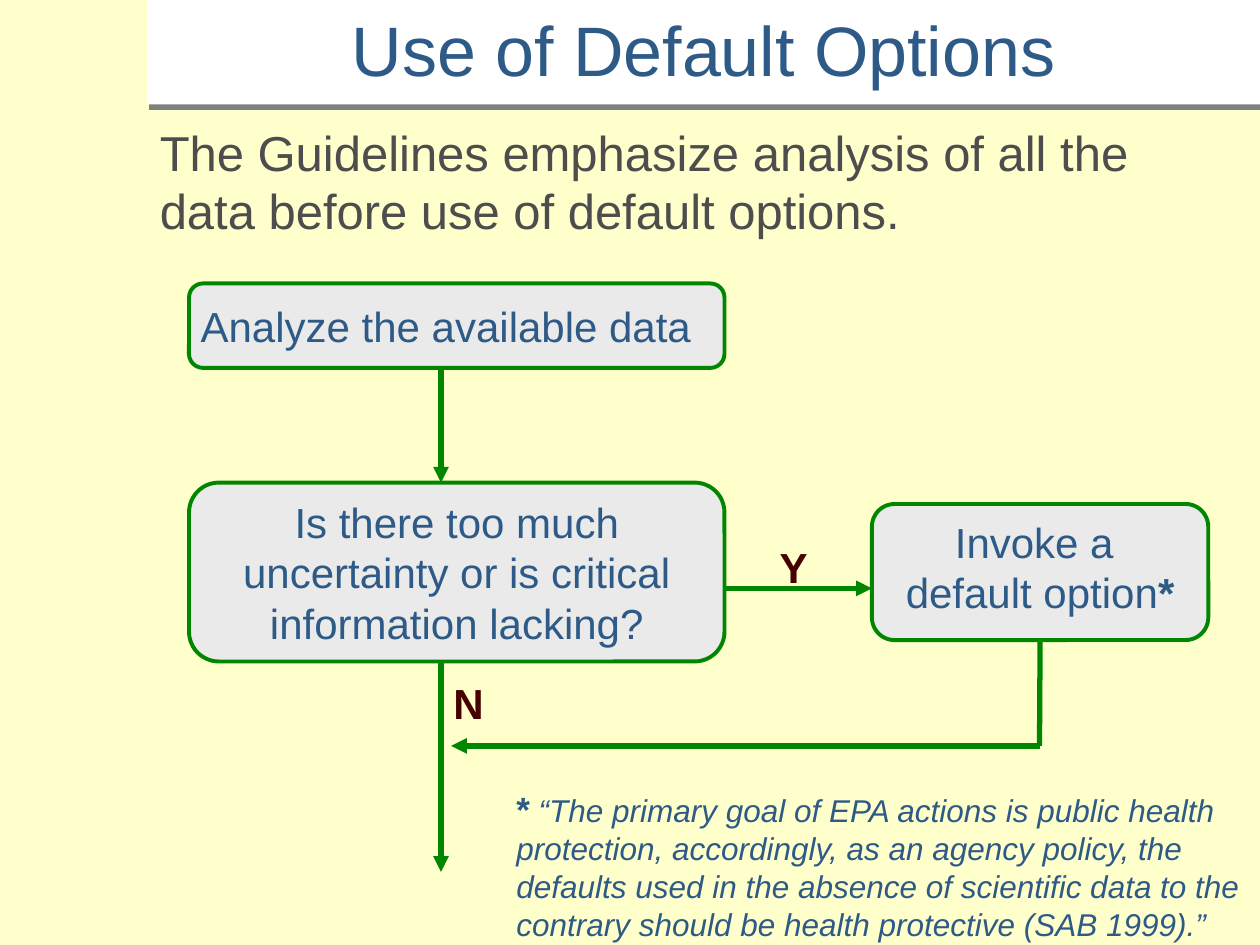
import dataclasses

import lxml.etree
import pptx
import pptx.dml.color
import pptx.enum.shapes
import pptx.enum.text
import pptx.oxml.ns
import pptx.util

Inches = pptx.util.Inches
Pt = pptx.util.Pt
Shape = pptx.enum.shapes.MSO_SHAPE
Align = pptx.enum.text.PP_ALIGN
Anchor = pptx.enum.text.MSO_ANCHOR


@dataclasses.dataclass(frozen=True)
class Theme:
    font: str = "Arial"
    background: str = "FFFFCC"
    banner: str = "FFFFFF"
    banner_shadow: str = "808080"
    box_fill: str = "EAEAEA"
    green: str = "008600"
    blue: str = "2D5A87"
    gray: str = "4D4D4D"
    maroon: str = "460000"
    title_size: int = 40
    lead_size: int = 28
    flow_size: int = 24
    mark_size: int = 20
    note_size: int = 18
    box_line: float = 2.25
    arrow_line: float = 3


def rgb(value):
    return pptx.dml.color.RGBColor.from_string(value)


def add_xml(parent, tag, **attributes):
    return lxml.etree.SubElement(parent, pptx.oxml.ns.qn(tag), attributes)


class SlideBuilder:
    def __init__(self, slide, theme):
        self.slide = slide
        self.theme = theme
        fill = slide.background.fill
        fill.solid()
        fill.fore_color.rgb = rgb(theme.background)

    def banner(self, left, top, width, height):
        shape = self.slide.shapes.add_shape(
            Shape.RECTANGLE, Inches(left), Inches(top), Inches(width), Inches(height))
        shape.shadow.inherit = False
        shape.fill.solid()
        shape.fill.fore_color.rgb = rgb(self.theme.banner)
        shape.line.fill.background()
        effects = shape._element.spPr.find(pptx.oxml.ns.qn("a:effectLst"))
        shadow = add_xml(effects, "a:outerShdw", dist=str(Pt(3.2)), dir=str(72 * 60000),
                         algn="ctr", rotWithShape="0")
        add_xml(shadow, "a:srgbClr", val=self.theme.banner_shadow)

    def fill_text(self, frame, lines, size, color, align=Align.LEFT, bold=False):
        for index, line in enumerate(lines):
            para = frame.paragraphs[0] if index == 0 else frame.add_paragraph()
            para.alignment = align
            para.font.name = self.theme.font
            para.font.size = Pt(size)
            para.font.bold = bold
            para.font.color.rgb = rgb(color)
            for text, style in line:
                span = para.add_run()
                span.text = text
                span.font.bold = style.get("bold")
                span.font.italic = style.get("italic")
                span.font.size = style.get("size")

    def text(self, left, top, width, height, line, size, color, wrap=True, **style):
        box = self.slide.shapes.add_textbox(
            Inches(left), Inches(top), Inches(width), Inches(height))
        box.text_frame.word_wrap = wrap
        self.fill_text(box.text_frame, [line], size, color, **style)

    def step(self, left, top, width, height, lines, align=Align.CENTER, bottom=0.05):
        box = self.slide.shapes.add_shape(
            Shape.ROUNDED_RECTANGLE, Inches(left), Inches(top), Inches(width), Inches(height))
        box.shadow.inherit = False
        box.fill.solid()
        box.fill.fore_color.rgb = rgb(self.theme.box_fill)
        box.line.color.rgb = rgb(self.theme.green)
        box.line.width = Pt(self.theme.box_line)
        frame = box.text_frame
        frame.word_wrap = True
        frame.vertical_anchor = Anchor.MIDDLE
        frame.margin_left = frame.margin_right = Inches(0.06)
        frame.margin_bottom = Inches(bottom)
        self.fill_text(frame, lines, self.theme.flow_size, self.theme.blue, align)
        return box

    def line(self, start, end, arrow=True):
        connector = self.slide.shapes.add_connector(
            pptx.enum.shapes.MSO_CONNECTOR.STRAIGHT,
            *(Inches(value) for value in (*start, *end)))
        connector.line.color.rgb = rgb(self.theme.green)
        connector.line.width = Pt(self.theme.arrow_line)
        properties = connector._element.spPr
        if arrow:
            add_xml(properties.find(pptx.oxml.ns.qn("a:ln")), "a:tailEnd", type="triangle")
        add_xml(properties, "a:effectLst")
        return connector


def main():
    theme = Theme()
    deck = pptx.Presentation()
    deck.slide_width, deck.slide_height = Inches(10), Inches(7.5)
    page = SlideBuilder(deck.slides.add_slide(deck.slide_layouts[6]), theme)

    page.banner(1.17, 0, 8.83, 0.83)
    page.text(1.17, 0, 8.83, 0.77, [("Use of Default Options", {})],
              theme.title_size, theme.blue, align=Align.CENTER)
    page.text(1.17, 0.92, 8.67, 1.25,
              [("The Guidelines emphasize analysis of all the data before use of "
                "default options.", {})],
              theme.lead_size, theme.gray)

    down_x, yes_y, return_x, return_y = 3.5, 4.67, 8.25, 5.92
    page.line((down_x, 5.08), (down_x, 6.92))
    page.line((down_x, 2.83), (down_x, 3.83))
    page.line((5.67, yes_y), (6.92, yes_y))
    page.step(1.5, 2.25, 4.25, 0.67, [[("Analyze the available data", {})]], Align.LEFT)
    page.step(1.5, 3.83, 4.25, 1.42,
              [[("Is there too much uncertainty or is critical information lacking?", {})]])
    default_box = page.step(6.92, 4, 2.67, 1.08,
                            [[("Invoke a ", {})],
                             [("default option", {}), ("*", {"bold": True})]], bottom=0.13)
    drop = page.line((return_x, 5.08), (return_x, return_y), arrow=False)
    drop.begin_connect(default_box, 2)
    page.line((return_x, return_y), (3.58, return_y))

    for label, left, top in (("N", 3.5, 5.33), ("Y", 6.09, 4.25)):
        page.text(left, top, 0.43, 0.5, [(label, {})], theme.flow_size, theme.maroon,
                  wrap=False, bold=True)
    page.text(4, 6.2, 6, 1.34,
              [("*", {"bold": True, "size": Pt(theme.mark_size)}),
               (" ", {"bold": True}),
               ("“The primary goal of EPA actions is public health protection, accordingly, "
                "as an agency policy, the defaults used in the absence of scientific data to "
                "the contrary should be health protective (SAB 1999).”", {"italic": True})],
              theme.note_size, theme.blue)
    deck.save("out.pptx")


if __name__ == "__main__":
    main()
